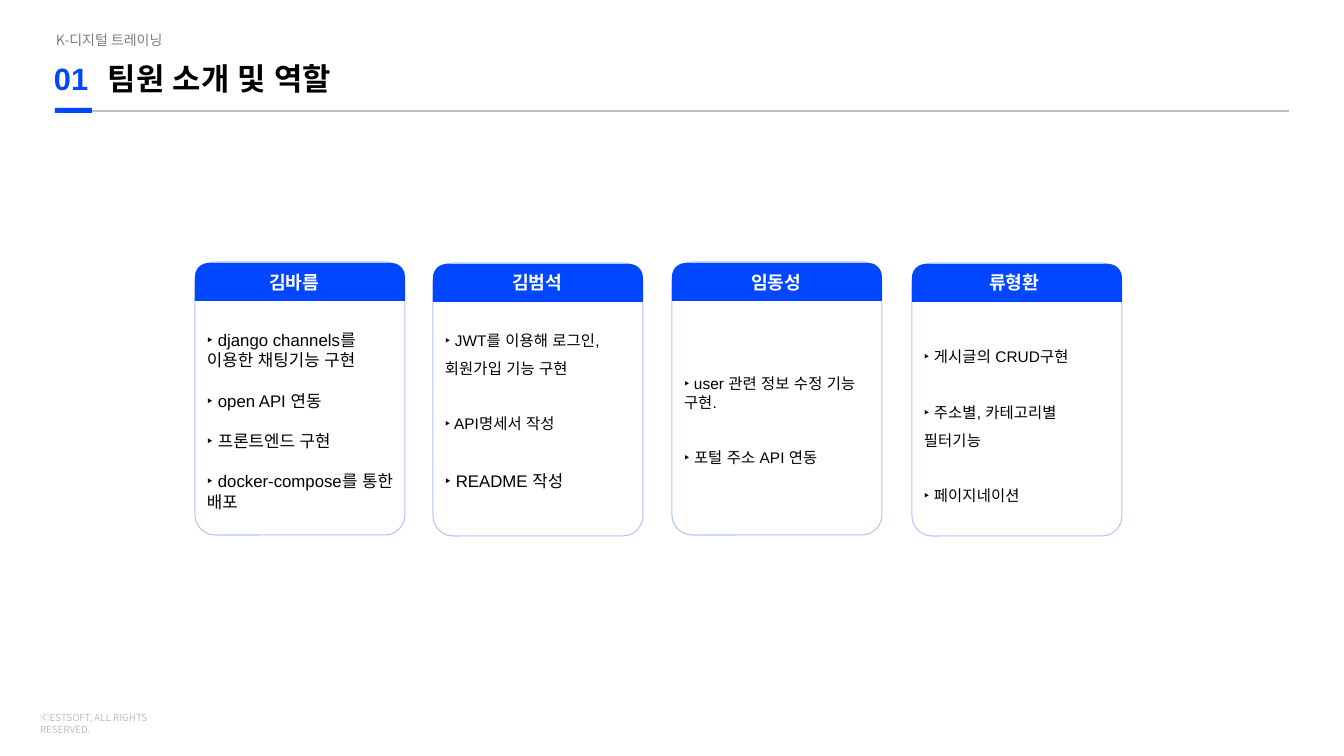
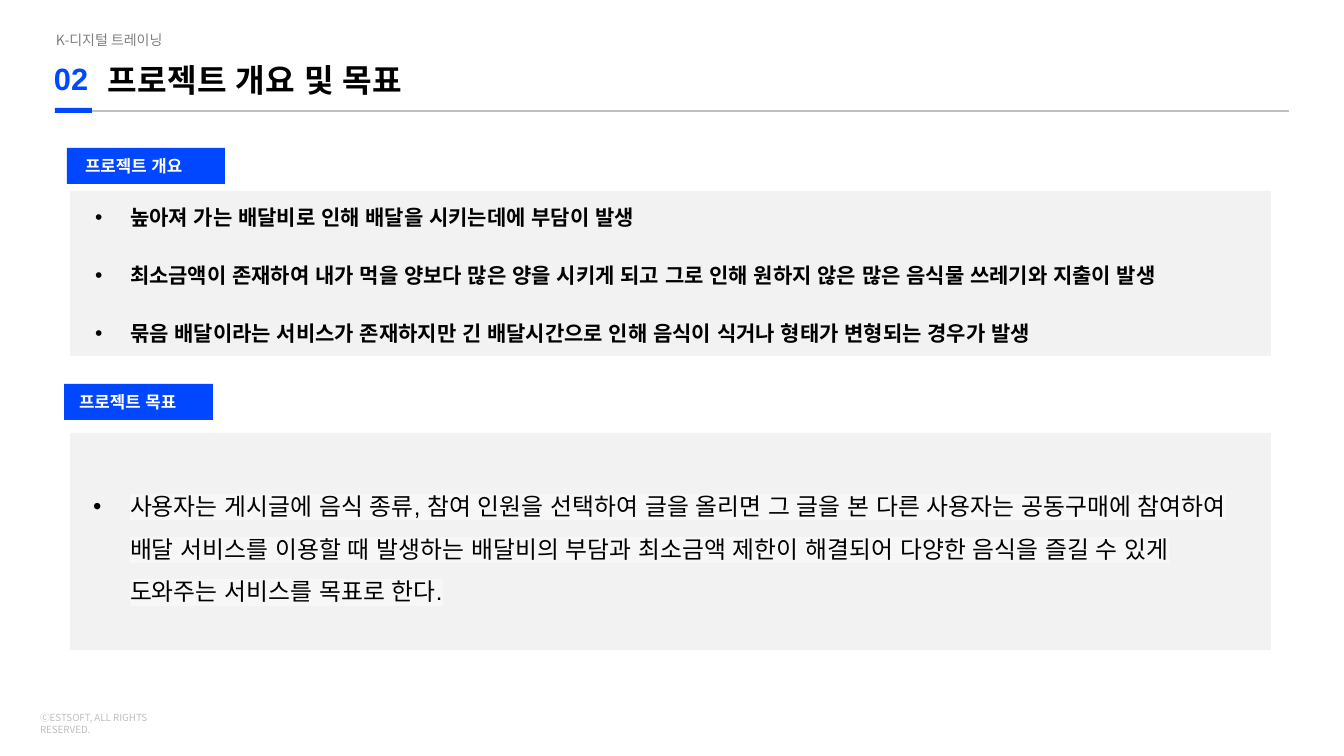
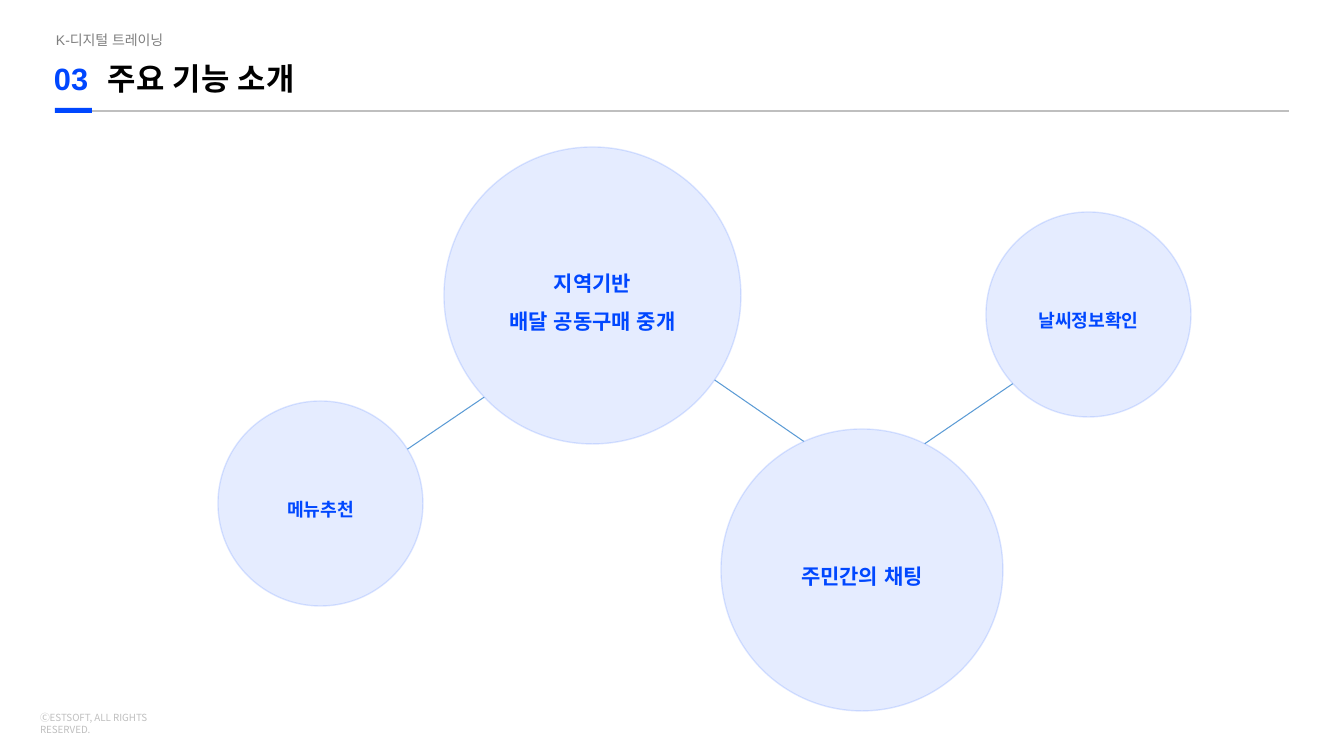
from dataclasses import dataclass
from typing import Optional

from lxml import etree
from pptx import Presentation
from pptx import util as u
from pptx.dml.color import RGBColor
from pptx.enum import shapes, text
from pptx.oxml import ns

PX = 914400 / 100.8
BLUE, PALE_BLUE, LINK_BLUE = "0047FF", "E5ECFF", "5B9BD5"
BLACK, WHITE, PANEL = "000000", "FFFFFF", "F2F2F2"
RULE_GREY, LABEL_GREY = "BFBFBF", "7F7F7F"
ARIAL, NOTO = "Arial", "Noto Sans CJK KR"
LEFT, CENTER = text.PP_ALIGN.LEFT, text.PP_ALIGN.CENTER
TOP, MIDDLE = text.MSO_ANCHOR.TOP, text.MSO_ANCHOR.MIDDLE
KIND = shapes.MSO_SHAPE


@dataclass
class Box:
    left: int
    top: int
    width: int
    height: int

    def emu(self) -> list[int]:
        return [px(n) for n in (self.left, self.top, self.width, self.height)]


@dataclass
class Style:
    size: float
    color: str = BLACK
    bold: bool = False
    font: str = ARIAL
    align: int = LEFT
    anchor: int = TOP
    line_spacing: float = 1.0
    gap: float = 0
    inset_left: int = 10
    inset_bottom: int = 5
    bullet_indent: int = 0
    highlight: str = ""


@dataclass
class Line:
    color: str
    width: float
    opacity: int = 100


@dataclass
class Member:
    name: str
    left: int
    top: int
    name_shift: int
    tasks: list[str]
    style: Style
    spacings: tuple[float, ...] = ()
    last_size: Optional[float] = None


@dataclass
class Section:
    heading: str
    tab: Box
    tab_inset: int
    panel: Box
    points: list[str]
    style: Style


@dataclass
class Bubble:
    lines: list[str]
    box: Box
    size: float


def px(count: int) -> int:
    return round(count * PX)


def rgb(color: str) -> RGBColor:
    return RGBColor.from_string(color)


def set_line(line_format, line: Line) -> None:
    line_format.color.rgb = rgb(line.color)
    line_format.width = u.Pt(line.width)
    if line.opacity < 100:
        color = line_format._ln.find(".//" + ns.qn("a:srgbClr"))
        etree.SubElement(color, ns.qn("a:alpha"), val=str(line.opacity * 1000))


def add_bullet(paragraph, indent: int) -> None:
    """Give the paragraph a black dot and a hanging indent."""
    properties = paragraph._p.get_or_add_pPr()
    properties.set("marL", str(px(50)))
    properties.set("indent", str(-px(indent)))
    color = etree.SubElement(properties, ns.qn("a:buClr"))
    etree.SubElement(color, ns.qn("a:srgbClr"), val=BLACK)
    etree.SubElement(properties, ns.qn("a:buFont"), typeface=ARIAL)
    etree.SubElement(properties, ns.qn("a:buChar"), char="•")


def format_run(run, style: Style) -> None:
    font = run.font
    font.size, font.bold, font.name = u.Pt(style.size), style.bold, style.font
    font.color.rgb = rgb(style.color)
    properties = run._r.get_or_add_rPr()
    latin = properties.find(ns.qn("a:latin"))
    latin.addnext(etree.Element(ns.qn("a:ea"), typeface=style.font))
    if style.highlight:
        highlight = etree.Element(ns.qn("a:highlight"))
        etree.SubElement(highlight, ns.qn("a:srgbClr"), val=style.highlight)
        latin.addprevious(highlight)


def write(shape, lines: list[str], style: Style) -> None:
    frame = shape.text_frame
    frame.word_wrap = True
    frame.vertical_anchor = style.anchor
    frame.margin_left, frame.margin_right = px(style.inset_left), px(10)
    frame.margin_top, frame.margin_bottom = px(5), px(style.inset_bottom)
    frame.text = "\n".join(lines)
    for index, paragraph in enumerate(frame.paragraphs):
        if style.bullet_indent:
            add_bullet(paragraph, style.bullet_indent)
        paragraph.alignment = style.align
        paragraph.line_spacing = style.line_spacing
        if index and style.gap:
            paragraph.space_before = u.Pt(style.gap)
        for run in paragraph.runs:
            format_run(run, style)


def add_text(slide, box: Box, lines: list[str], style: Style):
    shape = slide.shapes.add_textbox(*box.emu())
    write(shape, lines, style)
    return shape


def add_block(slide, kind, box: Box, fill: str, line: Optional[Line] = None,
              corners: tuple[float, ...] = ()):
    shape = slide.shapes.add_shape(kind, *box.emu())
    shape.shadow.inherit = False
    shape.fill.solid()
    shape.fill.fore_color.rgb = rgb(fill)
    if line:
        set_line(shape.line, line)
    else:
        shape.line.fill.background()
    for index, corner in enumerate(corners):
        shape.adjustments[index] = corner
    return shape


def add_straight(slide, start: tuple[int, int], end: tuple[int, int], line: Line) -> None:
    ends = [px(n) for n in (*start, *end)]
    connector = slide.shapes.add_connector(shapes.MSO_CONNECTOR.STRAIGHT, *ends)
    set_line(connector.line, line)
    etree.SubElement(connector._element.spPr, ns.qn("a:effectLst"))


def add_page(presentation, number: str, title: str, title_size: float = 22,
             label_font: str = NOTO):
    """Add a slide with the shared header and footer."""
    slide = presentation.slides.add_slide(presentation.slide_layouts[6])
    add_text(slide, Box(30, 707, 178, 22), ["ⒸESTSOFT, ALL RIGHTS RESERVED."],
             Style(7, RULE_GREY, font=NOTO))
    add_text(slide, Box(46, 27, 138, 27), ["K-디지털 트레이닝"],
             Style(10, LABEL_GREY, font=label_font))
    add_text(slide, Box(44, 55, 58, 47), [number], Style(22, BLUE, bold=True))
    add_text(slide, Box(98, 55, 475, 47), [title], Style(title_size, bold=True))
    add_straight(slide, (57, 111), (1289, 111), Line(RULE_GREY, 0.75))
    add_block(slide, KIND.RECTANGLE, Box(55, 108, 37, 5), BLUE)
    return slide


def add_member(slide, member: Member) -> None:
    left, top, width = member.left, member.top, 210
    add_block(slide, KIND.ROUNDED_RECTANGLE, Box(left, top, width, 273), WHITE,
              Line(BLUE, 0.75, 31), (0.096,))
    add_block(slide, KIND.ROUND_2_SAME_RECTANGLE, Box(left, top + 1, width, 38), BLUE,
              corners=(0.354, 0))
    add_text(slide, Box(left + member.name_shift, 266, width, 32), [member.name],
             Style(13, WHITE, bold=True, align=CENTER))
    tasks = add_text(slide, Box(left + 2, top + 43, width - 2, 231), member.tasks,
                     member.style)
    paragraphs = tasks.text_frame.paragraphs
    for paragraph, spacing in zip(paragraphs, member.spacings):
        paragraph.line_spacing = spacing
    if member.last_size:
        for run in paragraphs[-1].runs:
            run.font.size = u.Pt(member.last_size)


def add_section(slide, section: Section) -> None:
    panel = add_block(slide, KIND.RECTANGLE, section.panel, PANEL)
    write(panel, section.points, section.style)
    tab = add_block(slide, KIND.RECTANGLE, section.tab, BLUE)
    write(tab, [section.heading],
          Style(12, WHITE, bold=True, anchor=MIDDLE, inset_left=section.tab_inset))


def add_bubble(slide, bubble: Bubble) -> None:
    shape = add_block(slide, KIND.ROUNDED_RECTANGLE, bubble.box, PALE_BLUE,
                      Line(BLUE, 1, 13), (0.5,))
    write(shape, bubble.lines, Style(bubble.size, BLUE, bold=True, align=CENTER,
                                     anchor=MIDDLE, line_spacing=1.5))


MEMBERS = [
    Member("김바름", 195, 262, -6,
           ["‣ django channels를 이용한 채팅기능 구현", "‣ open API 연동",
            "‣ 프론트엔드 구현", "‣ docker-compose를 통한 배포"],
           Style(12, anchor=MIDDLE, gap=14.5)),
    Member("김범석", 433, 263, -1,
           ["‣ JWT를 이용해 로그인, 회원가입 기능 구현", "‣ API명세서 작성",
            "‣ README 작성"],
           Style(11, anchor=MIDDLE, line_spacing=1.5, gap=20, inset_bottom=35),
           last_size=12),
    Member("임동성", 672, 262, -1,
           ["‣ user 관련 정보 수정 기능 구현.", "‣ 포털 주소 API 연동"],
           Style(11, anchor=MIDDLE, gap=20), spacings=(1.0, 1.5)),
    Member("류형환", 912, 263, -3,
           ["‣ 게시글의 CRUD구현", "‣ 주소별, 카테고리별 필터기능", "‣ 페이지네이션"],
           Style(11, anchor=MIDDLE, line_spacing=1.5, gap=20)),
]

SECTIONS = [
    Section("프로젝트 개요", Box(67, 148, 158, 36), 18, Box(70, 191, 1201, 165),
            ["높아져 가는 배달비로 인해 배달을 시키는데에 부담이 발생",
             "최소금액이 존재하여 내가 먹을 양보다 많은 양을 시키게 되고 "
             "그로 인해 원하지 않은 많은 음식물 쓰레기와 지출이 발생",
             "묶음 배달이라는 서비스가 존재하지만 긴 배달시간으로 인해 "
             "음식이 식거나 형태가 변형되는 경우가 발생"],
            Style(15, bold=True, anchor=MIDDLE, line_spacing=1.15, gap=20.7,
                  bullet_indent=35)),
    Section("프로젝트 목표", Box(64, 384, 149, 36), 15, Box(70, 433, 1201, 217),
            ["사용자는 게시글에 음식 종류, 참여 인원을 선택하여 글을 올리면 "
             "그 글을 본 다른 사용자는 공동구매에 참여하여 배달 서비스를 이용할 때 "
             "발생하는 배달비의 부담과 최소금액 제한이 해결되어 다양한 음식을 "
             "즐길 수 있게 도와주는 서비스를 목표로 한다."],
            Style(17, anchor=MIDDLE, line_spacing=1.5, bullet_indent=37,
                  highlight="F7F7F8")),
]

LINKS = [((854, 492), (1093, 329)), ((854, 476), (616, 312)), ((359, 482), (598, 320))]

BUBBLES = [
    Bubble(["날씨정보확인"], Box(986, 212, 205, 205), 13),
    Bubble(["주민간의 채팅"], Box(721, 429, 282, 282), 15),
    Bubble(["메뉴추천"], Box(218, 401, 205, 205), 13),
    Bubble(["지역기반", "배달 공동구매 중개"], Box(444, 147, 297, 297), 15),
]


def main() -> None:
    presentation = Presentation()
    presentation.slide_width, presentation.slide_height = px(1344), px(756)

    team = add_page(presentation, "01", "팀원 소개 및 역할")
    for member in MEMBERS:
        add_member(team, member)

    overview = add_page(presentation, "02", "프로젝트 개요 및 목표", title_size=23)
    for section in SECTIONS:
        add_section(overview, section)

    features = add_page(presentation, "03", "주요 기능 소개", label_font=ARIAL)
    for start, end in LINKS:
        add_straight(features, start, end, Line(LINK_BLUE, 0.75))
    for bubble in BUBBLES:
        add_bubble(features, bubble)

    presentation.save("out.pptx")


if __name__ == "__main__":
    main()
